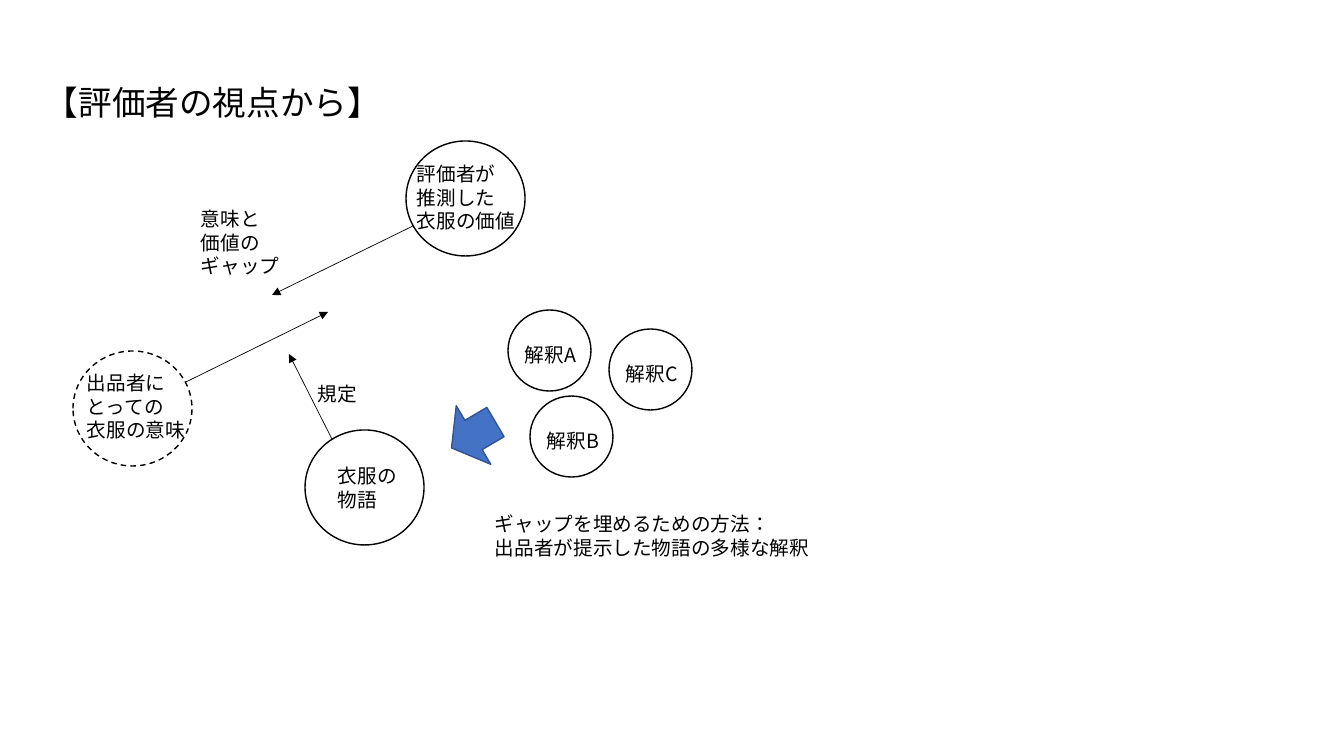
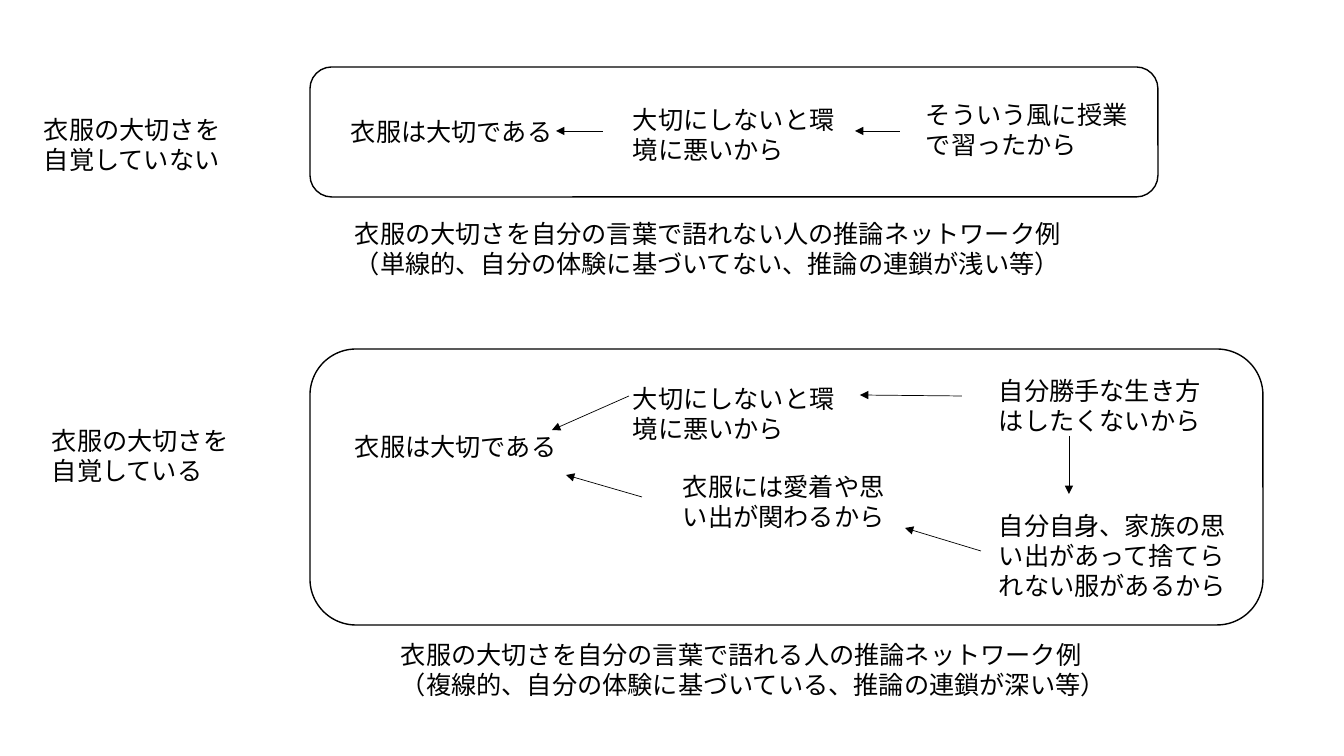
from lxml.etree import SubElement
from pptx import Presentation
from pptx.dml.color import RGBColor
from pptx.enum.dml import MSO_LINE
from pptx.enum.lang import MSO_LANGUAGE_ID as LANG
from pptx.enum.shapes import MSO_CONNECTOR, MSO_SHAPE as SHAPE
from pptx.enum.text import MSO_AUTO_SIZE
from pptx.oxml.ns import qn
from pptx.util import Pt

FONT = "Noto Sans CJK JP"
BLACK, BLUE, DARK_BLUE = "000000", "4472C4", "325491"
OVAL, ROUND, ARROW = SHAPE.OVAL, SHAPE.ROUNDED_RECTANGLE, SHAPE.RIGHT_ARROW


def px(n):
    """Turn pixels into EMU at 100.8 pixels to the inch."""
    return round(n * 914400 / 100.8)


def rgb(code):
    """Turn a hex string into a colour."""
    return RGBColor.from_string(code)


# Evaluator's view: shapes are (kind, left, top, width, height),
# texts (words, size, left, top, width, height), arrows (from x, y, to x, y)
seller_circle = (OVAL, 73, 351, 119, 115)
method_arrow = (ARROW, 448, 401, 51, 68)
view_shapes = [
    seller_circle,
    (OVAL, 406, 141, 119, 115),
    (OVAL, 305, 430, 119, 115),
    method_arrow,
]
view_texts = [
    ("【評価者の視点から】", 24, 35, 77, 402, 50),
    ("出品者にとっての\n衣服の意味", 14, 77, 366, 136, 82),
    ("評価者が\n推測した\n衣服の価値", 14, 407, 157, 136, 82),
    ("衣服の\n物語", 14, 328, 459, 86, 57),
    ("規定", 14, 308, 377, 86, 34),
    ("意味と\n価値の\nギャップ", 14, 191, 202, 118, 82),
    ("ギャップを埋めるための方法：\n出品者が提示した物語の多様な解釈", 14, 485, 507, 480, 57),
]
for letter, x, y in [("A", 508, 310), ("B", 530, 396), ("C", 609, 329)]:
    view_shapes.append((OVAL, x, y, 83, 81))
    view_texts.append((f"解釈{letter}", 14, x + 7, y + 28, 87, 34))
view_arrows = [
    (186, 382, 328, 312),
    (332, 439, 289, 354),
    (413, 226, 272, 295),
]

# Inference networks: unaware above, aware below
network_shapes = [(ROUND, 310, 67, 848, 130), (ROUND, 310, 349, 953, 276)]
CLAIM, REASON = "衣服は大切である", "大切にしないと環境に悪いから"
network_texts = [
    (words, 18, *box) for words, *box in [
        ("衣服の大切さを\n自覚していない", 34, 109, 243, 71),
        (CLAIM, 341, 111, 243, 41),
        (REASON, 623, 99, 243, 71),
        ("そういう風に授業で習ったから", 916, 94, 243, 71),
        ("衣服の大切さを自分の言葉で語れない人の推論ネットワーク例\n"
         "（単線的、自分の体験に基づいてない、推論の連鎖が浅い等）", 345, 213, 857, 71),
        ("衣服の大切さを\n自覚している", 42, 420, 243, 71),
        (CLAIM, 345, 426, 243, 41),
        (REASON, 623, 378, 243, 71),
        ("衣服には愛着や思い出が関わるから", 673, 466, 243, 71),
        ("自分勝手な生き方はしたくないから", 989, 370, 243, 71),
        ("自分自身、家族の思い出があって捨てられない服があるから", 989, 505, 264, 102),
        ("衣服の大切さを自分の言葉で語れる人の推論ネットワーク例\n"
         "（複線的、自分の体験に基づいている、推論の連鎖が深い等）", 391, 634, 841, 71),
    ]
]
network_arrows = [
    (603, 131, 556, 131),
    (900, 131, 855, 131),
    (629, 396, 552, 430),
    (642, 497, 566, 475),
    (962, 396, 860, 395),
    (981, 551, 905, 528),
    (1069, 436, 1069, 494),
]

prs = Presentation()
prs.slide_width, prs.slide_height = px(1344), px(756)

for shapes, texts, arrows in [
    (view_shapes, view_texts, view_arrows),
    (network_shapes, network_texts, network_arrows),
]:
    s = prs.slides.add_slide(prs.slide_layouts[6])

    for shape in shapes:
        kind, *box = shape
        sp = s.shapes.add_shape(kind, *map(px, box))
        sp.shadow.inherit = False
        sp.line.width = Pt(1)
        sp.line.color.rgb = rgb(BLACK)
        sp.fill.background()
        if shape == seller_circle:
            sp.line.dash_style = MSO_LINE.DASH
        if shape == method_arrow:
            sp.rotation = 149.5
            sp.fill.solid()
            sp.fill.fore_color.rgb = rgb(BLUE)
            sp.line.color.rgb = rgb(DARK_BLUE)

    for ends in arrows:
        cx = s.shapes.add_connector(MSO_CONNECTOR.STRAIGHT, *map(px, ends))
        cx.line.width = Pt(0.5)
        cx.line.color.rgb = rgb(BLACK)
        SubElement(cx.line._get_or_add_ln(), qn("a:tailEnd"), type="triangle")
        SubElement(cx._element.spPr, qn("a:effectLst"))

    for words, size, *box in texts:
        tf = s.shapes.add_textbox(*map(px, box)).text_frame
        tf.word_wrap = True
        tf.auto_size = MSO_AUTO_SIZE.SHAPE_TO_FIT_TEXT
        tf.text = words
        for p in tf.paragraphs:
            for r in p.runs:
                r.font.size = Pt(size)
                r.font.name = FONT
                r.font.language_id = LANG.JAPANESE
                r.font.color.rgb = rgb(BLACK)
                SubElement(r.font._element, qn("a:ea"), typeface=FONT)

prs.save("out.pptx")
